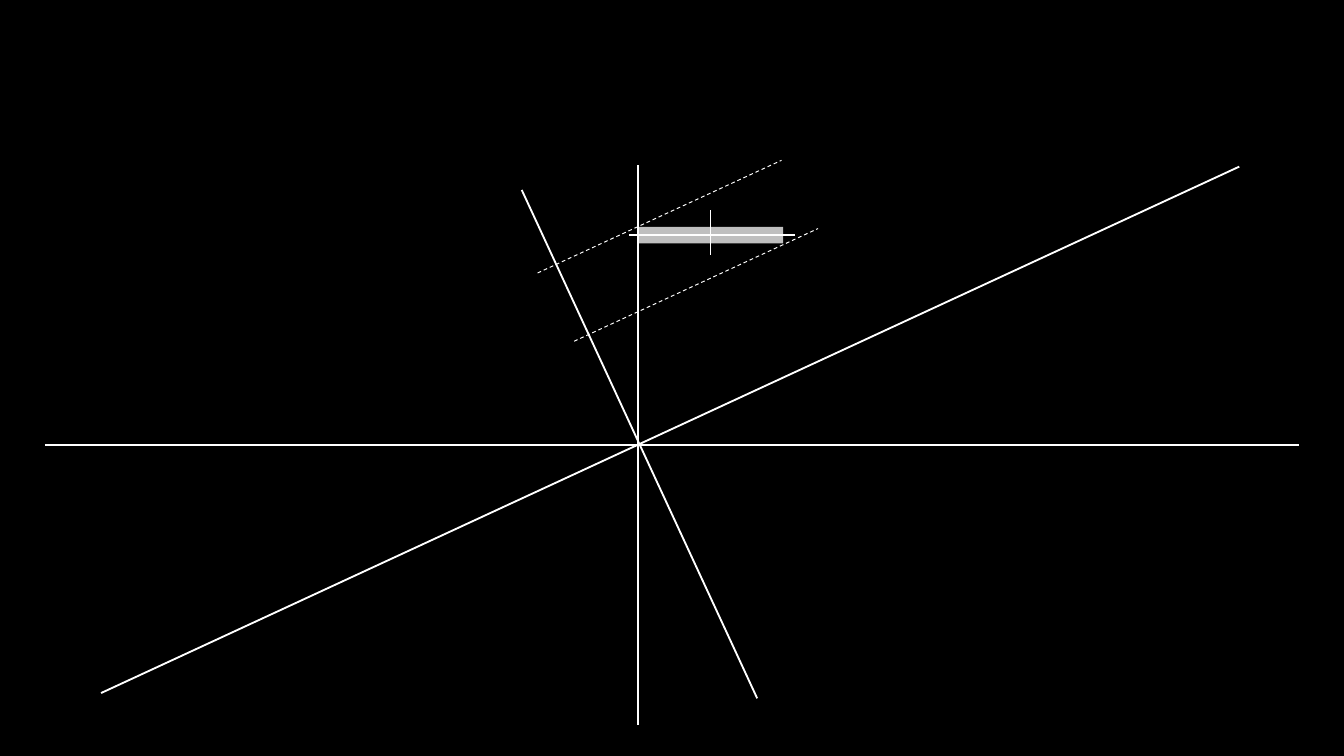
from pptx import Presentation
from pptx.dml.color import RGBColor
from pptx.enum.dml import MSO_LINE
from pptx.enum.shapes import MSO_CONNECTOR, MSO_SHAPE
from pptx.oxml.ns import qn
from pptx.util import Cm, Pt
from lxml import etree

STRAIGHT = MSO_CONNECTOR.STRAIGHT
RECTANGLE = MSO_SHAPE.RECTANGLE
DASH = MSO_LINE.DASH


def color(hex_value):
    return RGBColor.from_string(hex_value)


class Diagram:
    """Draws on one slide; all lengths are in centimetres."""

    background = "000000"
    line_color = "FFFFFF"
    bar_color = "BFBFBF"

    def __init__(self, slide):
        self.slide = slide
        fill = slide.background.fill
        fill.solid()
        fill.fore_color.rgb = color(self.background)

    def bar(self, left, top, width, height):
        shape = self.slide.shapes.add_shape(
            RECTANGLE, Cm(left), Cm(top), Cm(width), Cm(height))
        shape.shadow.inherit = False
        shape.fill.solid()
        shape.fill.fore_color.rgb = color(self.bar_color)
        shape.line.fill.background()

    def line(self, start, end, weight, dash=None):
        connector = self.slide.shapes.add_connector(
            STRAIGHT, *(Cm(value) for value in (*start, *end)))
        connector.line.color.rgb = color(self.line_color)
        connector.line.width = Pt(weight)
        if dash is not None:
            connector.line.dash_style = dash
        properties = connector._element.find(qn("p:spPr"))
        etree.SubElement(properties, qn("a:effectLst"))


def main():
    prs = Presentation()
    prs.slide_width, prs.slide_height = Cm(25.4), Cm(14.29)
    diagram = Diagram(prs.slides.add_slide(prs.slide_layouts[6]))

    # Rod, resting against the vertical axis
    axis_x, axis_y = 12.06, 8.41
    rod_top, rod_width, rod_height = 4.29, 2.74, 0.31
    rod_middle_x = axis_x + rod_width / 2
    rod_middle_y = rod_top + rod_height / 2
    diagram.bar(axis_x, rod_top, rod_width, rod_height)

    # Upright axes, then the tilted pair
    axes = [
        ((axis_x, 3.12), (axis_x, 13.71)),
        ((0.85, axis_y), (24.55, axis_y)),
        ((9.86, 3.59), (14.31, 13.2)),
        ((1.91, 13.1), (23.42, 3.15)),
    ]
    for start, end in axes:
        diagram.line(start, end, 1)

    # Centre lines of the rod
    diagram.line((rod_middle_x, 3.97), (rod_middle_x, 4.82), 0.75)
    diagram.line((11.89, rod_middle_y), (15.03, rod_middle_y), 0.75)

    # Parallel projection lines through the rod's corners
    run, rise = 4.61, 2.13
    for x, y in [(10.85, 6.45), (10.16, 5.16)]:
        diagram.line((x, y), (x + run, y - rise), 0.5, DASH)

    prs.save("out.pptx")


if __name__ == "__main__":
    main()
